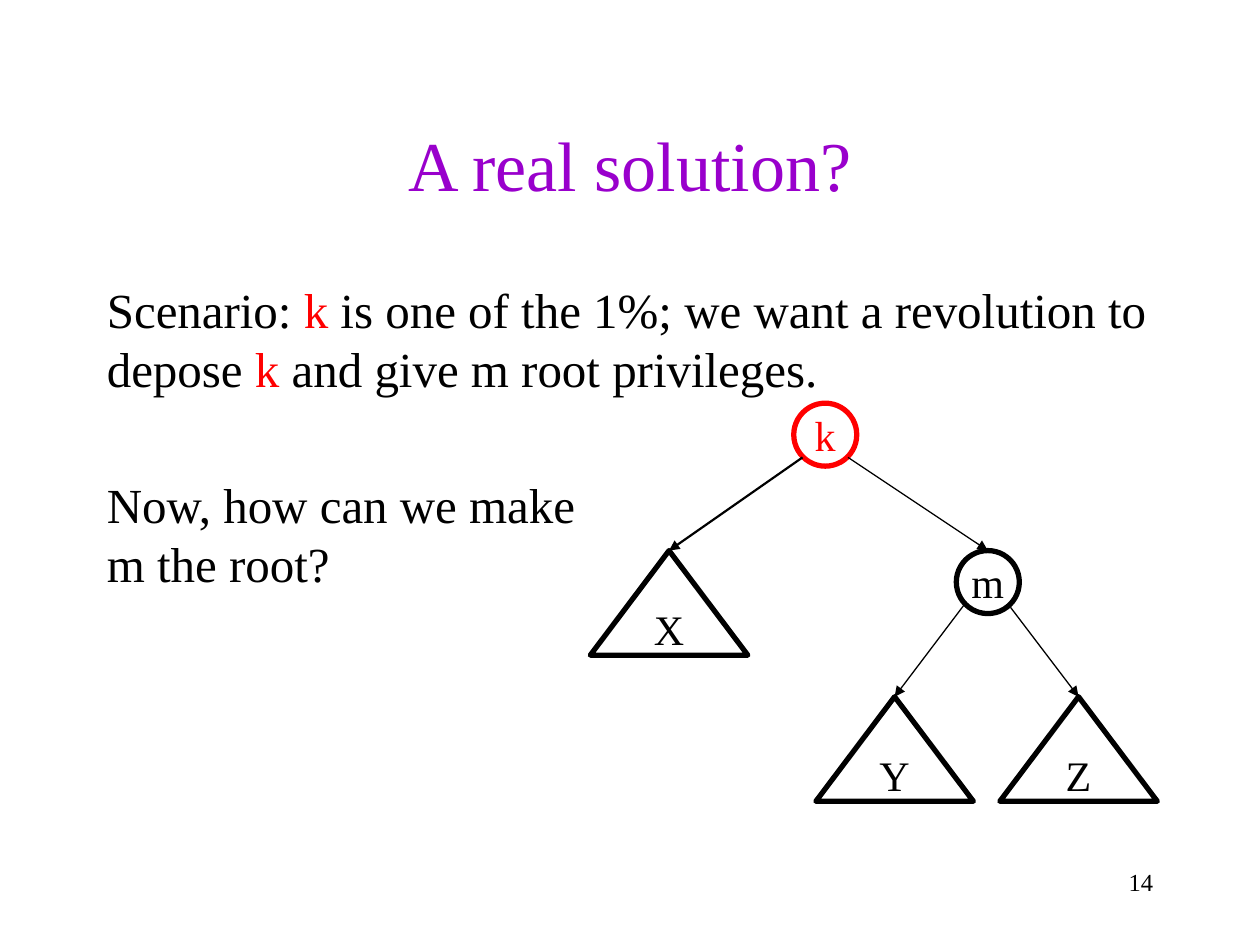
from lxml import etree
from pptx import Presentation
from pptx import util as u
from pptx.dml.color import RGBColor
from pptx.enum import shapes, text
from pptx.oxml.ns import qn

BLACK = RGBColor(0x00, 0x00, 0x00)
RED = RGBColor(0xFF, 0x00, 0x00)
PURPLE = RGBColor(0x99, 0x00, 0xCC)

NODE_SIZE = (0.5, 0.5)
SUBTREE_SIZE = (1.25, 0.83)


class TreeSlide:
    """Holds the style and the page being drawn."""

    font_name = "Times New Roman"
    label_size = 24
    outline = 3

    def __init__(self, page):
        self.page = page

    def fill_para(self, para, spans, size, **formats):
        """Fill a paragraph with (wording, colour) spans."""
        for name, value in formats.items():
            setattr(para, name, value)
        for wording, color in spans:
            for index, line in enumerate(wording.split("\n")):
                if index:
                    para.add_line_break()
                span = para.add_run()
                span.text = line
                for name, value in {"name": self.font_name, "size": u.Pt(size)}.items():
                    setattr(span.font, name, value)
                span.font.color.rgb = color

    def text_box(self, place, paragraphs, size, anchor=text.MSO_ANCHOR.TOP):
        """Add a wrapped box; each paragraph is (spans, formats)."""
        box = self.page.shapes.add_textbox(*map(u.Inches, place))
        frame = box.text_frame
        for name, value in {"word_wrap": True, "vertical_anchor": anchor}.items():
            setattr(frame, name, value)
        for index, (spans, formats) in enumerate(paragraphs):
            para = frame.add_paragraph() if index else frame.paragraphs[0]
            self.fill_para(para, spans, size, **formats)

    def outlined(self, kind, label, center, top, size, color):
        """Add an unfilled, labelled shape centred on a column."""
        width, height = size
        place = (center - width / 2, top, width, height)
        shape = self.page.shapes.add_shape(kind, *map(u.Inches, place))
        shape.shadow.inherit = False
        shape.fill.background()
        shape.line.color.rgb = color
        shape.line.width = u.Pt(self.outline)
        frame = shape.text_frame
        for name, value in {"word_wrap": False,
                            "vertical_anchor": text.MSO_ANCHOR.MIDDLE}.items():
            setattr(frame, name, value)
        self.fill_para(frame.paragraphs[0], [(label, color)], self.label_size,
                       alignment=text.PP_ALIGN.CENTER)
        return shape

    def node(self, label, center, top, color=BLACK):
        return self.outlined(shapes.MSO_SHAPE.OVAL, label, center, top,
                             NODE_SIZE, color)

    def subtree(self, label, center, top):
        return self.outlined(shapes.MSO_SHAPE.ISOSCELES_TRIANGLE, label, center,
                             top, SUBTREE_SIZE, BLACK)

    def arrow(self, start, child, width=0.75):
        """Draw an arrow from a point to the top of a child."""
        x, y = map(u.Inches, start)
        line = self.page.shapes.add_connector(
            shapes.MSO_CONNECTOR.STRAIGHT, x, y, x, y)
        line.end_connect(child, 0)
        line.line.color.rgb = BLACK
        line.line.width = u.Pt(width)
        properties = line._element.spPr
        etree.SubElement(properties.find(qn("a:ln")), qn("a:tailEnd"), type="triangle")
        etree.SubElement(properties, qn("a:effectLst"))


def main():
    deck = Presentation()
    deck.slide_width, deck.slide_height = u.Inches(10), u.Inches(7.5)
    slide = TreeSlide(deck.slides.add_slide(deck.slide_layouts[6]))

    # Title, body and page number
    slide.text_box(
        (0.75, 0.67, 8.5, 1.25),
        [([("A real solution?", PURPLE)], {"alignment": text.PP_ALIGN.CENTER})],
        40, text.MSO_ANCHOR.MIDDLE)
    scenario = [
        ("Scenario: ", BLACK), ("k", RED),
        (" is one of the 1%; we want a revolution to depose ", BLACK),
        ("k", RED), (" and give m root privileges.", BLACK),
    ]
    question = [("Now, how can we make\nm the root?", BLACK)]
    slide.text_box(
        (0.75, 2.17, 8.5, 4.5),
        [(scenario, {}), (question, {"space_before": u.Pt(44)})], 28)
    slide.text_box(
        (7.17, 6.83, 2.08, 0.5),
        [([("14", BLACK)], {"alignment": text.PP_ALIGN.RIGHT})], 14)

    # Tree nodes and subtrees, level by level
    slide.node("k", 6.55, 3.2, RED)
    left_tree = slide.subtree("X", 5.31, 4.37)
    child = slide.node("m", 7.84, 4.37)
    middle_tree = slide.subtree("Y", 7.1, 5.53)
    right_tree = slide.subtree("Z", 8.56, 5.53)

    # Arrows from parents to children
    slide.arrow((6.37, 3.63), left_tree, 1.25)
    slide.arrow((6.73, 3.63), child)
    slide.arrow((7.66, 4.79), middle_tree)
    slide.arrow((8.02, 4.82), right_tree)

    deck.save("out.pptx")


if __name__ == "__main__":
    main()
